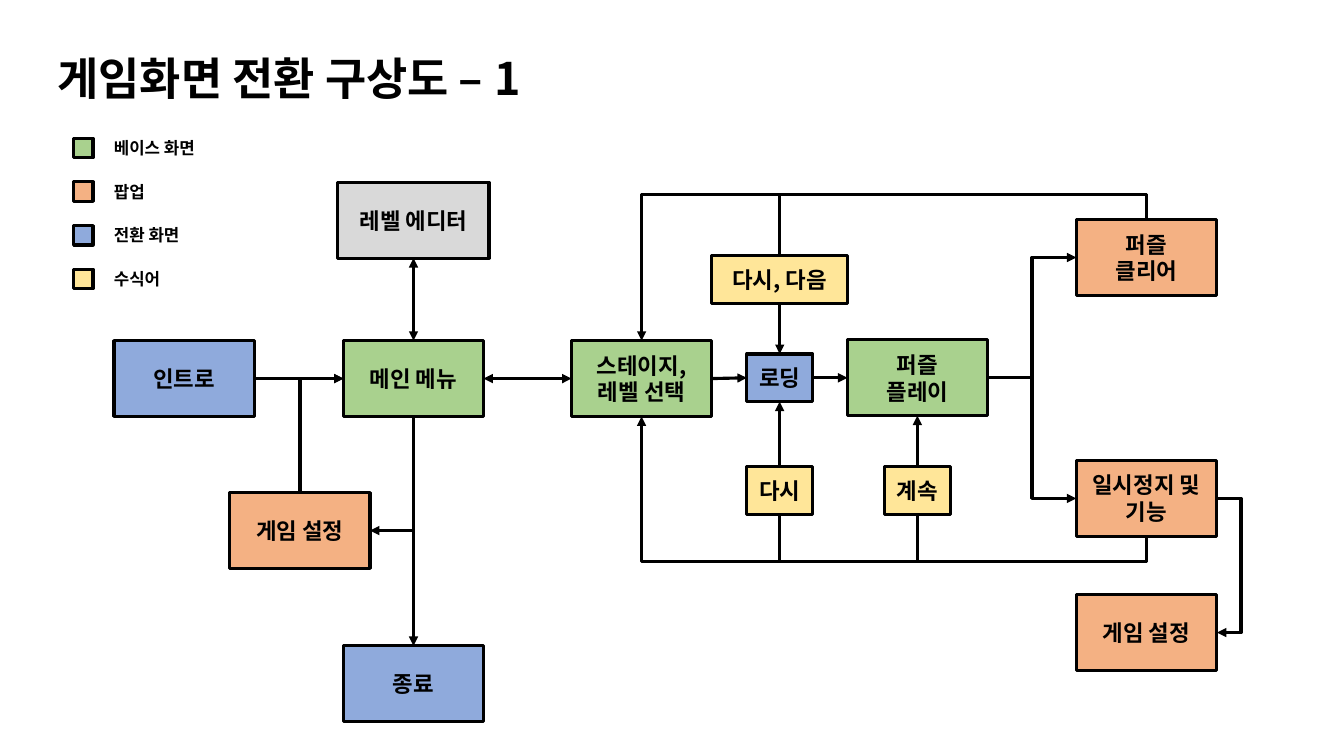
from pptx import Presentation
from pptx.util import Cm, Pt
from pptx.dml.color import RGBColor
from pptx.enum.shapes import MSO_CONNECTOR, MSO_SHAPE
from pptx.enum.text import MSO_ANCHOR, PP_ALIGN
from pptx.oxml.ns import qn
from lxml.etree import SubElement

FONT = "Noto Sans CJK KR"
COLOURS = {
    "ink": "000000", "base": "A9D18E", "popup": "F4B183",
    "transition": "8FAADC", "modifier": "FFE699", "editor": "D9D9D9",
}
TOP, LEFT, BOTTOM, RIGHT = range(4)  # connection sites of a rectangle


def write(shape, text, size=16, align=PP_ALIGN.CENTER,
          anchor=MSO_ANCHOR.MIDDLE, inset=Cm(0)):
    """Fill a shape with bold text, one paragraph per line."""
    frame = shape.text_frame
    frame.word_wrap = True
    frame.vertical_anchor = anchor
    frame.margin_left = frame.margin_right = inset
    frame.text = text
    for para in frame.paragraphs:
        para.alignment = align
        for span in para.runs:
            span.font.name = FONT
            span.font.size = Pt(size)
            span.font.bold = True
            span.font.color.rgb = RGBColor.from_string(COLOURS["ink"])
            SubElement(span.font._element, qn("a:ea"), typeface=FONT)


def add_box(x, y, width, height, colour):
    """Draw an outlined rectangle centred on x, y (in cm)."""
    box = page.shapes.add_shape(
        MSO_SHAPE.RECTANGLE, Cm(x - width / 2), Cm(y - height / 2),
        Cm(width), Cm(height))
    box.shadow.inherit = False
    box.fill.solid()
    box.fill.fore_color.rgb = RGBColor.from_string(COLOURS[colour])
    box.line.color.rgb = RGBColor.from_string(COLOURS["ink"])
    box.line.width = Pt(2.25)
    return box


deck = Presentation()
deck.slide_width, deck.slide_height = Cm(33.87), Cm(19.05)
page = deck.slides.add_slide(deck.slide_layouts[5])

# Title
title = page.shapes.title
title.left, title.top, title.width, title.height = Cm(1.2), Cm(1.14), Cm(13.5), Cm(1.62)
write(title, "게임화면 전환 구상도 – 1", size=32, align=PP_ALIGN.LEFT, inset=Cm(0.25))

# Legend
legend = [("base", "베이스 화면"), ("popup", "팝업"),
          ("transition", "전환 화면"), ("modifier", "수식어")]
for row, (colour, label) in enumerate(legend):
    y = 3.73 + 1.1 * row
    add_box(2.1, y, 0.49, 0.49, colour)
    caption = page.shapes.add_textbox(Cm(2.62), Cm(y - 0.38), Cm(3.78), Cm(0.76))
    write(caption, label, size=12, align=PP_ALIGN.LEFT, inset=Cm(0.25))

# Screens: centre x, centre y, width, height, colour, text
MENU_X, STAGE_X, LOADING_X, PLAY_X, RESULT_X = 10.42, 16.17, 19.65, 23.12, 28.89
LARGE, SMALL = (3.53, 1.91), (1.66, 1.2)
screens = {
    "intro": (4.64, 9.54, *LARGE, "transition", "인트로"),
    "menu": (MENU_X, 9.54, *LARGE, "base", "메인 메뉴"),
    "editor": (MENU_X, 5.55, 3.81, 1.91, "editor", "레벨 에디터"),
    "settings": (7.56, 13.37, *LARGE, "popup", "게임 설정"),
    "exit": (MENU_X, 17.23, *LARGE, "transition", "종료"),
    "stage": (STAGE_X, 9.54, *LARGE, "base", "스테이지,\n레벨 선택"),
    "loading": (LOADING_X, 9.52, *SMALL, "transition", "로딩"),
    "play": (PLAY_X, 9.52, *LARGE, "base", "퍼즐\n플레이"),
    "clear": (RESULT_X, 6.49, *LARGE, "popup", "퍼즐\n클리어"),
    "pause": (RESULT_X, 12.56, *LARGE, "popup", "일시정지 및 기능"),
    "play settings": (RESULT_X, 15.94, *LARGE, "popup", "게임 설정"),
}
boxes = {}
for name, (*place, text) in screens.items():
    boxes[name] = add_box(*place)
    write(boxes[name], text)

# Routes: start, site, end, site, bend position in cm, arrow at both ends
ABOVE, BELOW, FORK, OUTSIDE = 4.9, 14.15, 26.01, 31.29
routes = [
    ("intro", RIGHT, "menu", LEFT, None, False),
    ("menu", RIGHT, "stage", LEFT, None, True),
    ("menu", TOP, "editor", BOTTOM, None, True),
    ("menu", BOTTOM, "exit", TOP, None, False),
    ("menu", BOTTOM, "settings", RIGHT, None, False),
    ("settings", TOP, "menu", LEFT, None, False),
    ("stage", RIGHT, "loading", LEFT, None, False),
    ("loading", RIGHT, "play", LEFT, None, False),
    ("play", RIGHT, "clear", LEFT, FORK, False),
    ("play", RIGHT, "pause", LEFT, FORK, False),
    ("clear", TOP, "stage", TOP, ABOVE, False),
    ("clear", TOP, "loading", TOP, ABOVE, False),
    ("pause", BOTTOM, "stage", BOTTOM, BELOW, False),
    ("pause", BOTTOM, "loading", BOTTOM, BELOW, False),
    ("pause", BOTTOM, "play", BOTTOM, BELOW, False),
    ("pause", RIGHT, "play settings", RIGHT, OUTSIDE, False),
]
for start, start_site, end, end_site, bend, both in routes:
    vertical = start_site in (TOP, BOTTOM)
    corner = vertical != (end_site in (TOP, BOTTOM))
    straight = bend is None and not corner
    kind = MSO_CONNECTOR.STRAIGHT if straight else MSO_CONNECTOR.ELBOW
    route = page.shapes.add_connector(kind, 0, 0, 0, 0)
    route.begin_connect(boxes[start], start_site)
    route.end_connect(boxes[end], end_site)
    route.line.color.rgb = RGBColor.from_string(COLOURS["ink"])
    route.line.width = Pt(2.25)
    properties = route._element.spPr
    SubElement(properties, qn("a:effectLst"))
    for tag in ("headEnd", "tailEnd") if both else ("tailEnd",):
        SubElement(route.line._get_or_add_ln(), qn("a:" + tag), type="triangle")
    if straight:
        continue

    # Turn the elbow so that it leaves its start box along the right axis
    x, y = route.begin_x, route.begin_y
    dx, dy = route.end_x - x, route.end_y - y
    first, second = (dy, dx) if vertical else (dx, dy)
    first = first or Cm(0.03)
    width, height = abs(first), abs(second)
    route.left, route.top = int(x + (dx - width) / 2), int(y + (dy - height) / 2)
    route.width, route.height = width, height
    frame = properties.find(qn("a:xfrm"))
    frame.set("rot", "5400000" if vertical else "0")
    frame.set("flipH", str(int(first < 0)))
    frame.set("flipV", str(int(second > 0 if vertical else second < 0)))
    geometry = properties.find(qn("a:prstGeom"))
    geometry.set("prst", "bentConnector2" if corner else "bentConnector3")
    if bend is not None:
        ratio = (Cm(bend) - (y if vertical else x)) / first
        SubElement(geometry.find(qn("a:avLst")), qn("a:gd"),
                   name="adj1", fmla=f"val {round(ratio * 100000)}")

# Modifiers that sit on the routes
for x, y, width, text in [(LOADING_X, 7.05, 3.43, "다시, 다음"),
                          (LOADING_X, 12.36, 1.66, "다시"),
                          (PLAY_X, 12.36, 1.66, "계속")]:
    write(add_box(x, y, width, 1.2, "modifier"), text)

deck.save("out.pptx")
